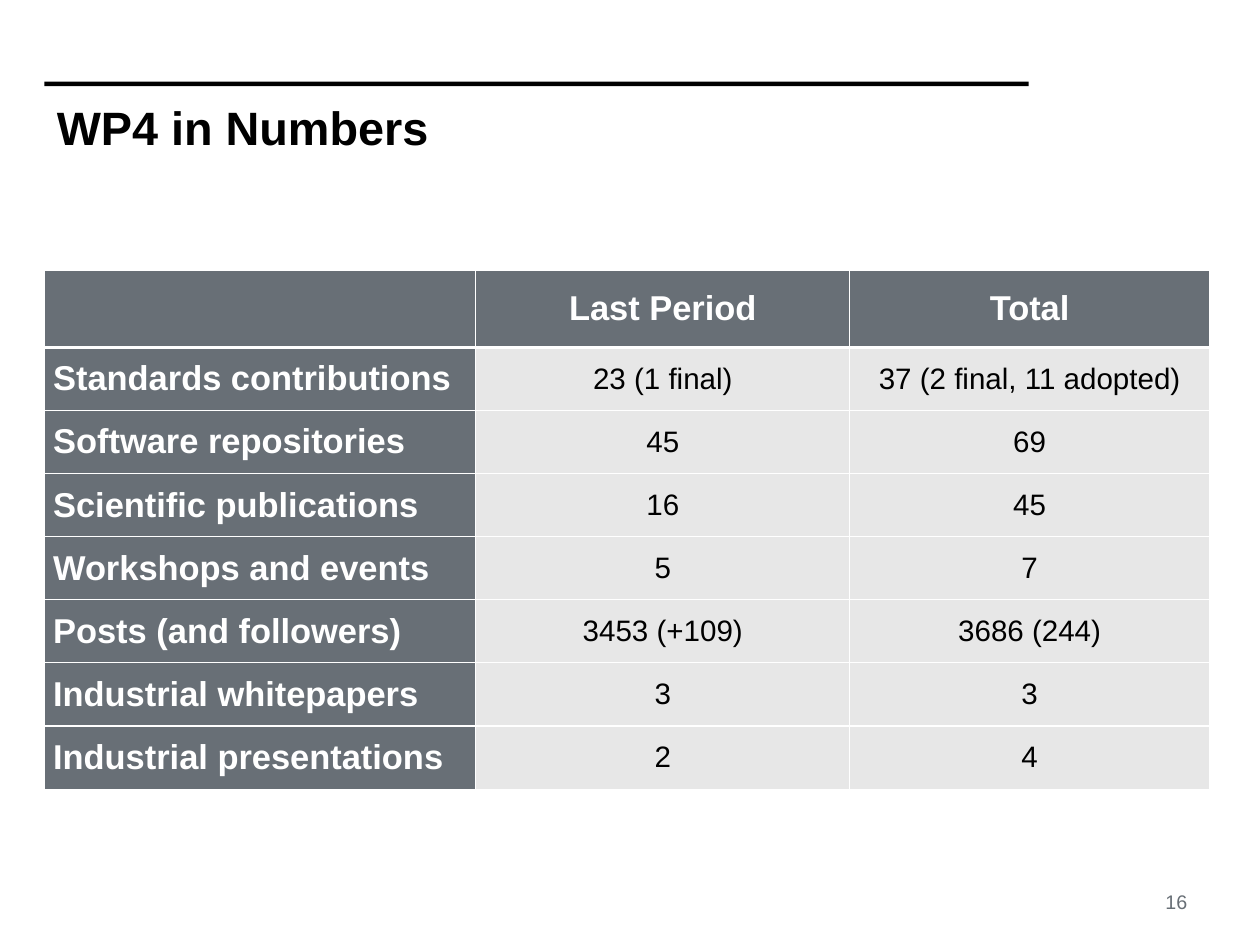
import dataclasses
from typing import Any

import lxml.etree
import pptx
import pptx.dml.color
import pptx.enum.shapes
import pptx.enum.text
import pptx.oxml.ns
import pptx.util

Cm = pptx.util.Cm
Pt = pptx.util.Pt
ALIGN = pptx.enum.text.PP_ALIGN
ANCHOR = pptx.enum.text.MSO_ANCHOR
BLACK, WHITE, SLATE, PALE = "000000", "FFFFFF", "686F76", "E7E7E7"


@dataclasses.dataclass(frozen=True)
class TextStyle:
    size: int
    color: str
    bold: bool = False
    align: Any = ALIGN.CENTER


@dataclasses.dataclass(frozen=True)
class Label:
    text: str
    box: tuple[float, float, float, float]
    style: TextStyle
    frame: dict[str, Any]


@dataclasses.dataclass(frozen=True)
class Row:
    name: str
    last_period: str
    total: str


TITLE = TextStyle(38, BLACK, True, ALIGN.LEFT)
PAGE = TextStyle(16, SLATE)
HEADER = TextStyle(28, WHITE, True)
ROW_NAME = TextStyle(28, WHITE, True, ALIGN.LEFT)
VALUE = TextStyle(24, BLACK)

TITLE_MARGINS = {f"margin_{side}": Cm(0.36) for side in ("left", "top", "right", "bottom")}
LABELS = [
    Label("WP4 in Numbers", (1.27, 2.46, 27.51, 3.84), TITLE,
          {**TITLE_MARGINS, "vertical_anchor": ANCHOR.TOP}),
    Label("16", (32.72, 25.35, 2.01, 0.99), PAGE, {"vertical_anchor": ANCHOR.MIDDLE}),
]
ROWS = [
    Row("", "Last Period", "Total"),
    Row("Standards contributions", "23 (1 final)", "37 (2 final, 11 adopted)"),
    Row("Software repositories", "45", "69"),
    Row("Scientific publications", "16", "45"),
    Row("Workshops and events", "5", "7"),
    Row("Posts (and followers)", "3453 (+109)", "3686 (244)"),
    Row("Industrial whitepapers", "3", "3"),
    Row("Industrial presentations", "2", "4"),
]
COLUMN_WIDTHS = (12.37, 10.72, 10.31)
HEADER_HEIGHT, ROW_HEIGHT = 2.21, 1.81


def rgb(color: str) -> pptx.dml.color.RGBColor:
    return pptx.dml.color.RGBColor.from_string(color)


def set_fill(target: Any, color: str) -> None:
    target.fill.solid()
    target.fill.fore_color.rgb = rgb(color)


def write(tf: Any, text: str, style: TextStyle) -> None:
    p = tf.paragraphs[0]
    p.alignment = style.align
    r = p.add_run()
    r.text = text
    font = {"name": "Arial", "size": Pt(style.size), "bold": style.bold}
    for key, value in font.items():
        setattr(r.font, key, value)
    r.font.color.rgb = rgb(style.color)


def add_label(s: Any, label: Label) -> None:
    tf = s.shapes.add_textbox(*map(Cm, label.box)).text_frame
    for key, value in {"word_wrap": True, **label.frame}.items():
        setattr(tf, key, value)
    write(tf, label.text, label.style)


def add_rule(s: Any) -> None:
    sp = s.shapes.add_shape(pptx.enum.shapes.MSO_SHAPE.RECTANGLE,
                            *map(Cm, (1.27, 2.34, 28.22, 0.13)))
    sp.shadow.inherit = False
    set_fill(sp, BLACK)
    sp.line.fill.background()


def set_borders(cell: Any, widths: dict[str, int]) -> None:
    qn = pptx.oxml.ns.qn
    tc_pr = cell._tc.get_or_add_tcPr()
    for side, width in widths.items():
        ln = lxml.etree.SubElement(tc_pr, qn(f"a:ln{side}"), w=str(Pt(width)))
        fill = lxml.etree.SubElement(ln, qn("a:solidFill"))
        lxml.etree.SubElement(fill, qn("a:srgbClr"), val=WHITE)


def add_numbers_table(s: Any) -> None:
    height = HEADER_HEIGHT + ROW_HEIGHT * (len(ROWS) - 1)
    table = s.shapes.add_table(len(ROWS), len(COLUMN_WIDTHS), Cm(1.27), Cm(7.75),
                               Cm(sum(COLUMN_WIDTHS)), Cm(height)).table
    for column, width in zip(table.columns, COLUMN_WIDTHS):
        column.width = Cm(width)
    for i, row in enumerate(ROWS):
        table.rows[i].height = Cm(ROW_HEIGHT if i else HEADER_HEIGHT)
        for j, text in enumerate(dataclasses.astuple(row)):
            cell = table.cell(i, j)
            cell.vertical_anchor = ANCHOR.MIDDLE
            set_borders(cell, {"L": 1, "R": 1, "T": 3 if i == 1 else 1, "B": 1 if i else 3})
            set_fill(cell, PALE if i and j else SLATE)
            if text:
                style = HEADER if i == 0 else VALUE if j else ROW_NAME
                write(cell.text_frame, text, style)


def main() -> None:
    prs = pptx.Presentation()
    prs.slide_width, prs.slide_height = Cm(36.12), Cm(27.1)
    s = prs.slides.add_slide(prs.slide_layouts[6])
    add_rule(s)
    for label in LABELS:
        add_label(s, label)
    add_numbers_table(s)
    prs.save("out.pptx")


if __name__ == "__main__":
    main()
